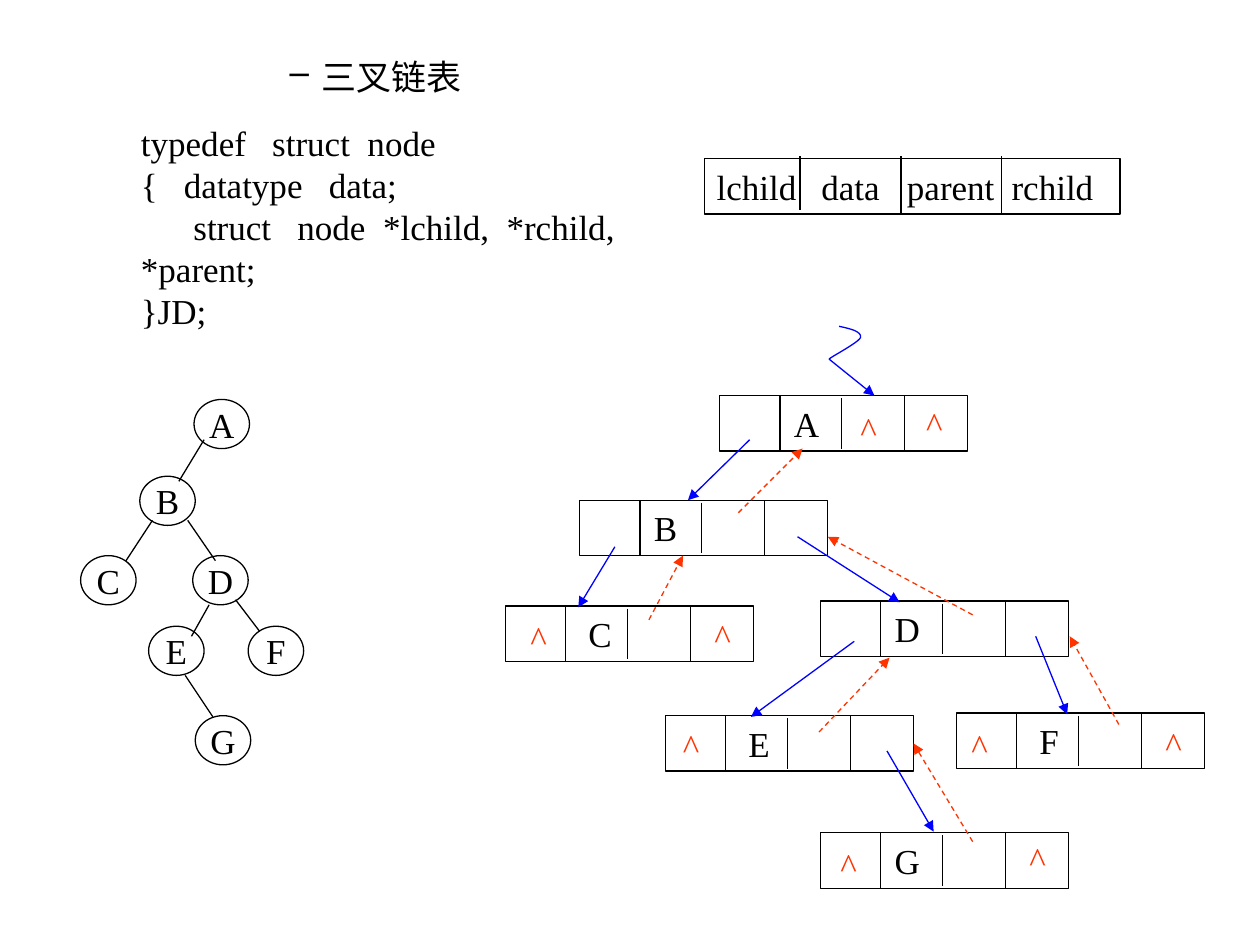
"""Build the slide on the three-pointer linked list of a binary tree."""
from dataclasses import dataclass

from lxml import etree
from pptx import Presentation
from pptx.dml.color import RGBColor
from pptx.enum.dml import MSO_LINE
from pptx.enum.shapes import MSO_CONNECTOR, MSO_SHAPE
from pptx.enum.text import MSO_ANCHOR, PP_ALIGN
from pptx.oxml.ns import qn
from pptx.util import Inches, Pt

STRAIGHT = MSO_CONNECTOR.STRAIGHT
RECTANGLE, OVAL = MSO_SHAPE.RECTANGLE, MSO_SHAPE.OVAL
LEFT, CENTER = PP_ALIGN.LEFT, PP_ALIGN.CENTER
TOP, MIDDLE = MSO_ANCHOR.TOP, MSO_ANCHOR.MIDDLE
DASH = MSO_LINE.DASH


@dataclass(frozen=True)
class Theme:
    ink: RGBColor = RGBColor(0x00, 0x00, 0x00)
    child: RGBColor = RGBColor(0x00, 0x00, 0xFF)
    parent: RGBColor = RGBColor(0xFF, 0x33, 0x00)
    heading_font: str = "Arial"
    body_font: str = "Times New Roman"
    size: Pt = Pt(20)
    line: Pt = Pt(0.75)


theme = Theme()
presentation = Presentation()
presentation.slide_width, presentation.slide_height = Inches(10), Inches(7.5)
slide = presentation.slides.add_slide(presentation.slide_layouts[6])
shapes = slide.shapes


def add_box(lines, box, kind=None, color=theme.ink, align=LEFT, anchor=MIDDLE,
            wrap=False, font=theme.body_font):
    place = [Inches(value) for value in box]
    if kind is None:
        shape = shapes.add_textbox(*place)
    else:
        shape = shapes.add_shape(kind, *place)
        shape.shadow.inherit = False
        shape.fill.background()
        shape.line.color.rgb = theme.ink
        shape.line.width = theme.line
    frame = shape.text_frame
    frame.word_wrap = wrap
    frame.vertical_anchor = anchor
    for index, line in enumerate(lines):
        paragraph = frame.add_paragraph() if index else frame.paragraphs[0]
        paragraph.alignment = align
        run = paragraph.add_run()
        run.text = line
        run.font.name = font
        run.font.size = theme.size
        run.font.color.rgb = color
    return shape


def add_line(start, end, color=theme.ink, arrow=False, dashed=False):
    connector = shapes.add_connector(
        STRAIGHT, *[Inches(value) for value in (*start, *end)])
    connector.line.color.rgb = color
    connector.line.width = theme.line
    if dashed:
        connector.line.dash_style = DASH
    if arrow:
        outline = connector.line._get_or_add_ln()
        etree.SubElement(outline, qn("a:tailEnd"), type="triangle")
    etree.SubElement(connector._element.spPr, qn("a:effectLst"))
    return connector


heading = add_box(["三叉链表"], (0.7, 0.39, 9.3, 0.49), anchor=TOP, wrap=True,
                  font=theme.heading_font)
heading_paragraph = heading.text_frame.paragraphs[0]
heading_paragraph.level = 3
properties = heading_paragraph._p.get_or_add_pPr()
properties.set("marL", str(Inches(1.75)))
properties.set("indent", str(Inches(-0.25)))
etree.SubElement(properties, qn("a:buChar"), char="–")

code = [
    "typedef   struct  node",
    "{   datatype   data;",
    "      struct   node  *lchild,  *rchild,  *parent;",
    "}JD;",
]
add_box(code, (1.02, 1.08, 5.01, 1.44))

layout_record = add_box(["lchild\tdata\tparent\trchild"],
                        (5.59, 1.26, 3.3, 0.44), RECTANGLE, wrap=True)
properties = layout_record.text_frame.paragraphs[0]._p.get_or_add_pPr()
tabs = etree.SubElement(properties, qn("a:tabLst"))
for stop in (0.83, 1.51, 2.34):
    etree.SubElement(tabs, qn("a:tab"), pos=str(Inches(stop)), algn="l")
for x, bottom in ((6.35, 1.67), (7.15, 1.69), (7.95, 1.69)):
    add_line((x, 1.24), (x, bottom))

tree_nodes = {
    "A": (1.54, 3.17), "B": (1.11, 3.78), "C": (0.64, 4.41), "D": (1.53, 4.41),
    "E": (1.18, 4.97), "F": (1.97, 4.97), "G": (1.55, 5.68),
}
for name, (left, top) in tree_nodes.items():
    add_box([name], (left, top, 0.44, 0.39), OVAL, align=CENTER)

tree_edges = [
    ((1.62, 3.49), (1.42, 3.82)), ((1.21, 4.13), (1, 4.45)),
    ((1.49, 4.13), (1.71, 4.45)), ((1.66, 4.8), (1.52, 5.05)),
    ((1.87, 4.76), (2.06, 5.01)), ((1.47, 5.36), (1.69, 5.69)),
]
for start, end in tree_edges:
    add_line(start, end)

record_places = {
    "A": (5.71, 3.14, 0.59), "B": (4.6, 3.97, 0.59), "C": (4.01, 4.81, 0.66),
    "D": (6.51, 4.77, 0.59), "E": (5.28, 5.68, 0.66), "F": (7.59, 5.66, 0.66),
    "G": (6.51, 6.61, 0.59),
}
records = {}
for name, (left, top, inset) in record_places.items():
    records[name] = add_box([name], (left, top, 1.97, 0.44), RECTANGLE, wrap=True)
    records[name].text_frame.margin_left = Inches(inset)
    for offset, gap in ((0.48, 0), (0.97, 0.02), (1.47, 0)):
        add_line((left + offset, top + gap), (left + offset, top + 0.44 - gap))

child_links = [
    ((5.95, 3.49), (5.46, 3.97)), ((4.88, 4.34), (4.59, 4.82)),
    ((6.78, 5.09), (5.96, 5.69)), ((6.33, 4.26), (7.14, 4.78)),
    ((8.22, 5.05), (8.47, 5.67)), ((7.04, 5.96), (7.41, 6.6)),
]
for start, end in child_links:
    add_line(start, end, theme.child, arrow=True)

parent_links = [
    ((5.86, 4.07), (6.37, 3.56)), ((5.15, 4.92), (5.42, 4.41)),
    ((7.72, 4.88), (6.57, 4.26)), ((6.5, 5.81), (7.06, 5.22)),
    ((8.88, 5.75), (8.49, 5.05)),
]
for start, end in parent_links:
    add_line(start, end, theme.parent, arrow=True, dashed=True)
link_to_e = add_line((7.72, 6.68), (7.25, 5.9), theme.parent, arrow=True, dashed=True)
link_to_e.end_connect(records["E"], 3)

root_curves = [
    ((6.66, 2.59), (6.75, 2.61), (6.84, 2.63), (6.83, 2.68)),
    ((6.83, 2.68), (6.81, 2.72), (6.62, 2.82), (6.58, 2.85)),
]
steps = 12
root_points = []
for curve in root_curves:
    for step in range(1, steps + 1):
        t = step / steps
        weights = ((1 - t) ** 3, 3 * t * (1 - t) ** 2, 3 * t * t * (1 - t), t ** 3)
        root_points.append(tuple(
            Inches(sum(weight * point[axis] for weight, point in zip(weights, curve)))
            for axis in (0, 1)))
builder = shapes.build_freeform(Inches(6.66), Inches(2.59))
builder.add_line_segments(root_points, close=False)
root_tail = builder.convert_to_shape()
root_tail.shadow.inherit = False
root_tail.fill.background()
root_tail.line.color.rgb = theme.child
root_tail.line.width = theme.line
add_line((6.58, 2.85), (6.94, 3.14), theme.child, arrow=True)

null_marks = [
    (6.73, 3.18), (7.25, 3.14), (4.11, 4.84), (5.57, 4.82), (5.32, 5.7),
    (7.61, 5.7), (9.15, 5.68), (6.57, 6.64), (8.07, 6.59),
]
for left, top in null_marks:
    add_box(["^"], (left, top, 0.33, 0.44), color=theme.parent, align=CENTER)

presentation.save("out.pptx")
